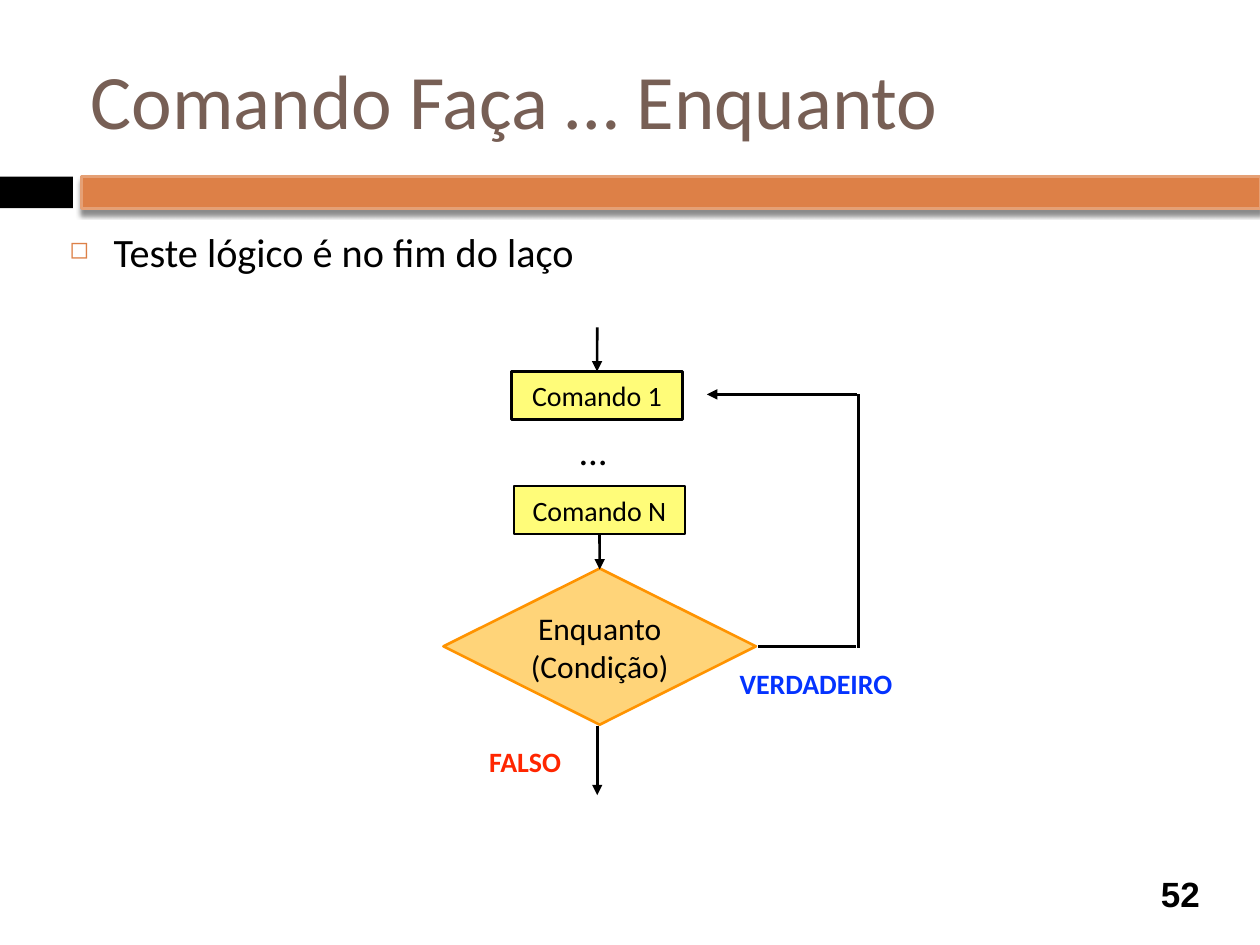
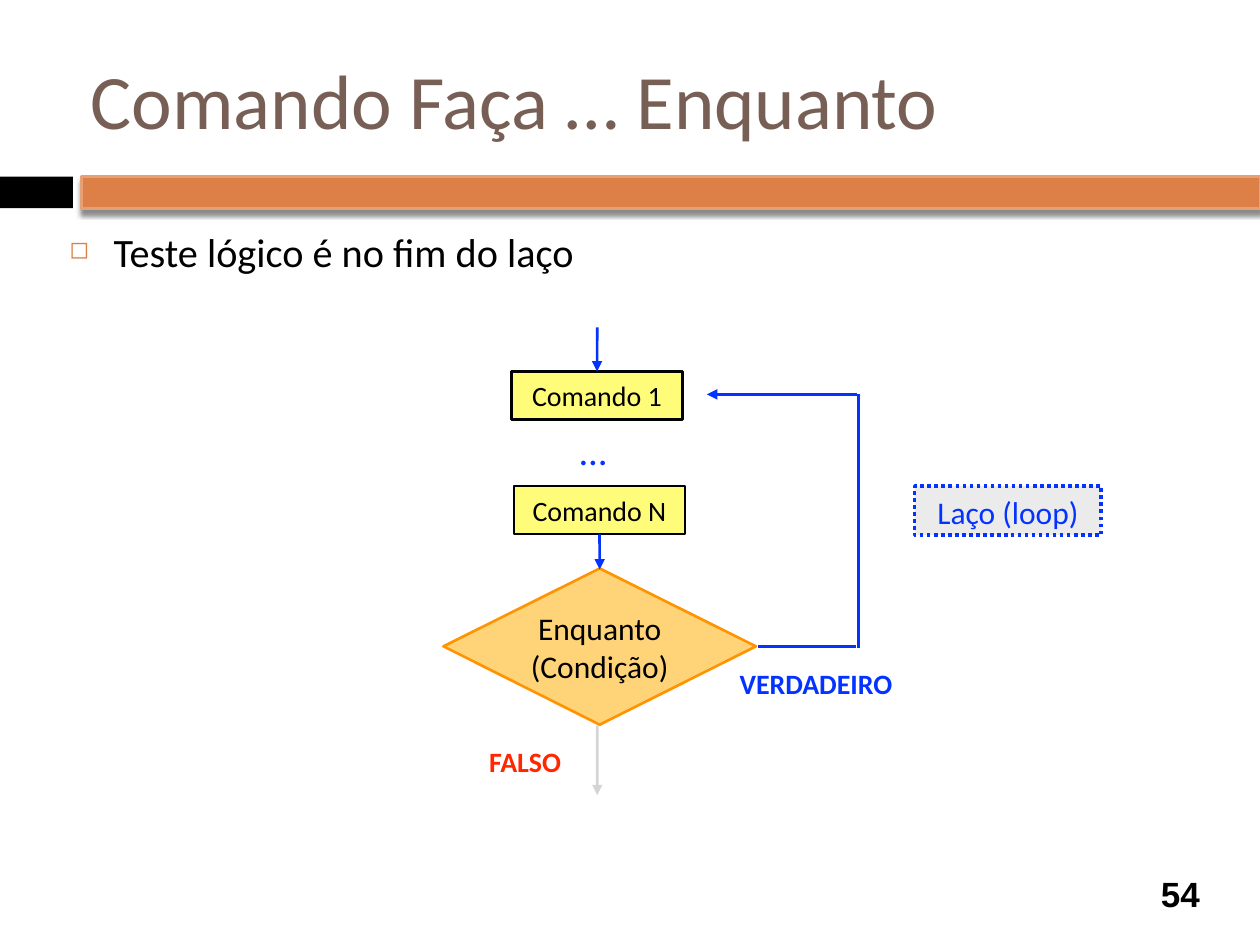
"""Build two slides with the flowchart of the do-while command."""
import dataclasses
import typing

import lxml.etree
import pptx
import pptx.dml.color
import pptx.enum.dml
import pptx.enum.shapes
import pptx.enum.text
import pptx.oxml.ns
import pptx.util

Cm = pptx.util.Cm
Pt = pptx.util.Pt
qn = pptx.oxml.ns.qn
Anchor = pptx.enum.text.MSO_ANCHOR
Align = pptx.enum.text.PP_ALIGN


@dataclasses.dataclass(frozen=True)
class Theme:
    black: str = "000000"
    brown: str = "775F55"
    orange: str = "DD8047"
    orange_edge: str = "E5A075"
    command_fill: str = "FFFC79"
    test_fill: str = "FFD479"
    test_edge: str = "FF9300"
    note_fill: str = "EBEBEB"
    blue: str = "0433FF"
    red: str = "FF2600"
    font: str = "Calibri"
    number_font: str = "Arial"
    title_size: float = 44
    body_size: float = 23
    dots_size: float = 22
    number_size: float = 20
    test_size: float = 18
    label_size: float = 16
    line_width: float = 1.5
    note_width: float = 2
    inset: float = 0.13


THEME = Theme()


@dataclasses.dataclass(frozen=True)
class Area:
    left: float
    top: float
    width: float
    height: float

    def lengths(self) -> list[pptx.util.Length]:
        return [Cm(value) for value in dataclasses.astuple(self)]


@dataclasses.dataclass(frozen=True)
class Style:
    size: float
    color: str = THEME.black
    bold: bool = False
    font: str = THEME.font
    align: typing.Any = None
    anchor: typing.Any = Anchor.TOP
    wrap: bool = True


@dataclasses.dataclass(frozen=True)
class Label:
    text: str
    area: Area
    style: Style


@dataclasses.dataclass(frozen=True)
class Flow:
    start: tuple[float, float]
    end: tuple[float, float]
    arrow: bool = True


@dataclasses.dataclass(frozen=True)
class Chart:
    number: str
    flow_color: str
    exit_opacity: int = 100
    show_loop: bool = False


TITLE = Label("Comando Faça … Enquanto", Area(1.7, 0.64, 22.66, 2.72),
              Style(THEME.title_size, THEME.brown, anchor=Anchor.MIDDLE))
BODY = Label("Teste lógico é no fim do laço", Area(1.27, 4.45, 22.86, 1.65),
             Style(THEME.body_size))
NUMBER_AREA = Area(23.06, 17.5, 1.47, 1.04)
NUMBER_STYLE = Style(THEME.number_size, bold=True, font=THEME.number_font,
                     align=Align.CENTER, anchor=Anchor.MIDDLE)
COMMAND_STYLE = Style(THEME.label_size, align=Align.CENTER, anchor=Anchor.MIDDLE)
FIRST_COMMAND = Label("Comando 1", Area(10.31, 7.49, 3.45, 0.97), COMMAND_STYLE)
LAST_COMMAND = Label("Comando N", Area(10.36, 9.8, 3.45, 0.97), COMMAND_STYLE)
TEST_STYLE = Style(THEME.test_size, align=Align.CENTER, anchor=Anchor.MIDDLE)
TEST_CORNERS = [(12.09, 11.46), (8.94, 13.03), (12.09, 14.61), (15.24, 13.03)]
OUTCOMES = [
    Label("FALSO", Area(9.73, 14.88, 1.83, 0.89),
          Style(THEME.label_size, THEME.red, bold=True, wrap=False)),
    Label("VERDADEIRO", Area(14.78, 13.31, 3.45, 0.89),
          Style(THEME.label_size, THEME.blue, bold=True, wrap=False)),
]
DOTS_AREA = Area(11.56, 8.48, 1.07, 1.09)
LOOP = Label("Laço (loop)", Area(18.44, 9.8, 3.76, 0.99),
             Style(THEME.test_size, THEME.blue, align=Align.CENTER))
ENTRY = Flow((12.04, 6.6), (12.04, 7.49))
EXIT = Flow((12.04, 14.63), (12.04, 16.03))
TO_TEST = Flow((12.09, 10.77), (12.09, 11.48))
RETURN_PATH = [
    Flow((17.27, 7.95), (14.25, 7.95)),
    Flow((17.3, 7.95), (17.3, 13.06), arrow=False),
    Flow((17.25, 13.03), (15.29, 13.03), arrow=False),
]
CHARTS = [
    Chart("52", THEME.black),
    Chart("54", THEME.blue, exit_opacity=16, show_loop=True),
]


def rgb(color: str) -> pptx.dml.color.RGBColor:
    return pptx.dml.color.RGBColor.from_string(color)


def add_element(parent, tag: str, **attributes: str):
    return lxml.etree.SubElement(parent, qn(tag), attributes)


def write(shape, text: str, style: Style) -> None:
    frame = shape.text_frame
    frame.word_wrap = style.wrap
    frame.vertical_anchor = style.anchor
    frame.margin_left = frame.margin_right = Cm(THEME.inset)
    frame.margin_top = frame.margin_bottom = Cm(THEME.inset)
    if not style.wrap:
        frame.auto_size = pptx.enum.text.MSO_AUTO_SIZE.SHAPE_TO_FIT_TEXT
    frame.text = text
    for para in frame.paragraphs:
        para.alignment = style.align
        para.font.name = style.font
        para.font.size = Pt(style.size)
        para.font.bold = style.bold
        para.font.color.rgb = rgb(style.color)


def add_text(page, label: Label):
    box = page.shapes.add_textbox(*label.area.lengths())
    write(box, label.text, label.style)
    return box


def paint(shape, fill: str, edge: str | None, width: float = THEME.line_width) -> None:
    shape.shadow.inherit = False
    shape.fill.solid()
    shape.fill.fore_color.rgb = rgb(fill)
    if edge is None:
        shape.line.fill.background()
    else:
        shape.line.color.rgb = rgb(edge)
        shape.line.width = Pt(width)


def add_box(page, area: Area, fill: str, edge: str | None, width: float = THEME.line_width):
    box = page.shapes.add_shape(pptx.enum.shapes.MSO_SHAPE.RECTANGLE, *area.lengths())
    paint(box, fill, edge, width)
    return box


def add_command(page, label: Label):
    box = add_box(page, label.area, THEME.command_fill, THEME.black)
    write(box, label.text, label.style)
    return box


def add_test(page) -> None:
    corners = [(Cm(x), Cm(y)) for x, y in TEST_CORNERS]
    builder = page.shapes.build_freeform(*corners[0])
    builder.add_line_segments(corners[1:], close=True)
    diamond = builder.convert_to_shape()
    paint(diamond, THEME.test_fill, THEME.test_edge)
    write(diamond, "Enquanto\n(Condição)", TEST_STYLE)


def add_flow(page, flow: Flow, color: str, opacity: int = 100):
    connector = page.shapes.add_connector(
        pptx.enum.shapes.MSO_CONNECTOR.STRAIGHT,
        *[Cm(value) for value in flow.start + flow.end])
    connector.line.color.rgb = rgb(color)
    connector.line.width = Pt(THEME.line_width)
    properties = connector._element.spPr
    outline = properties.find(qn("a:ln"))
    if opacity < 100:
        add_element(outline.find(".//" + qn("a:srgbClr")), "a:alpha", val=str(opacity * 1000))
    if flow.arrow:
        add_element(outline, "a:tailEnd", type="triangle")
    add_element(properties, "a:effectLst")
    return connector


def add_bullet(para) -> None:
    para.space_before = Pt(7)
    settings = para._p.get_or_add_pPr()
    settings.set("marL", str(Cm(0.89)))
    settings.set("indent", str(-Cm(0.89)))
    color = add_element(settings, "a:buClr")
    add_element(color, "a:srgbClr", val=THEME.orange)
    size = add_element(settings, "a:buSzPct", val="60000")
    mark = add_element(settings, "a:buChar", char="◻")
    defaults = settings.find(qn("a:defRPr"))
    for element in (color, size, mark):
        defaults.addprevious(element)


def add_band(page) -> None:
    add_box(page, Area(0, 3.56, 1.47, 0.64), THEME.black, None)
    band = add_box(page, Area(1.65, 3.56, 23.75, 0.64), THEME.orange, THEME.orange_edge)
    effects = band._element.spPr.find(qn("a:effectLst"))
    shadow = add_element(effects, "a:outerShdw", blurRad=str(Pt(3)), dist=str(Pt(2.4)),
                         dir="5400000", rotWithShape="0")
    color = add_element(shadow, "a:srgbClr", val=THEME.black)
    add_element(color, "a:alpha", val="45000")


def add_frame(page, number: str) -> None:
    add_band(page)
    add_text(page, TITLE)
    add_text(page, Label(number, NUMBER_AREA, NUMBER_STYLE))
    add_bullet(add_text(page, BODY).text_frame.paragraphs[0])


def add_chart_page(deck, chart: Chart) -> None:
    page = deck.slides.add_slide(deck.slide_layouts[6])
    add_frame(page, chart.number)
    add_test(page)
    first = add_command(page, FIRST_COMMAND)
    last = add_command(page, LAST_COMMAND)
    add_flow(page, ENTRY, chart.flow_color).end_connect(first, 0)
    add_flow(page, EXIT, THEME.black, chart.exit_opacity)
    dots_style = Style(THEME.dots_size, chart.flow_color, wrap=False)
    for label in [Label("…", DOTS_AREA, dots_style), *OUTCOMES]:
        add_text(page, label)
    for flow in RETURN_PATH:
        add_flow(page, flow, chart.flow_color)
    add_flow(page, TO_TEST, chart.flow_color).begin_connect(last, 2)
    if chart.show_loop:
        note = add_box(page, LOOP.area, THEME.note_fill, THEME.blue, THEME.note_width)
        note.line.dash_style = pptx.enum.dml.MSO_LINE.ROUND_DOT
        write(note, LOOP.text, LOOP.style)


def main() -> None:
    deck = pptx.Presentation()
    deck.slide_width, deck.slide_height = Cm(25.4), Cm(19.05)
    for chart in CHARTS:
        add_chart_page(deck, chart)
    deck.save("out.pptx")


if __name__ == "__main__":
    main()
